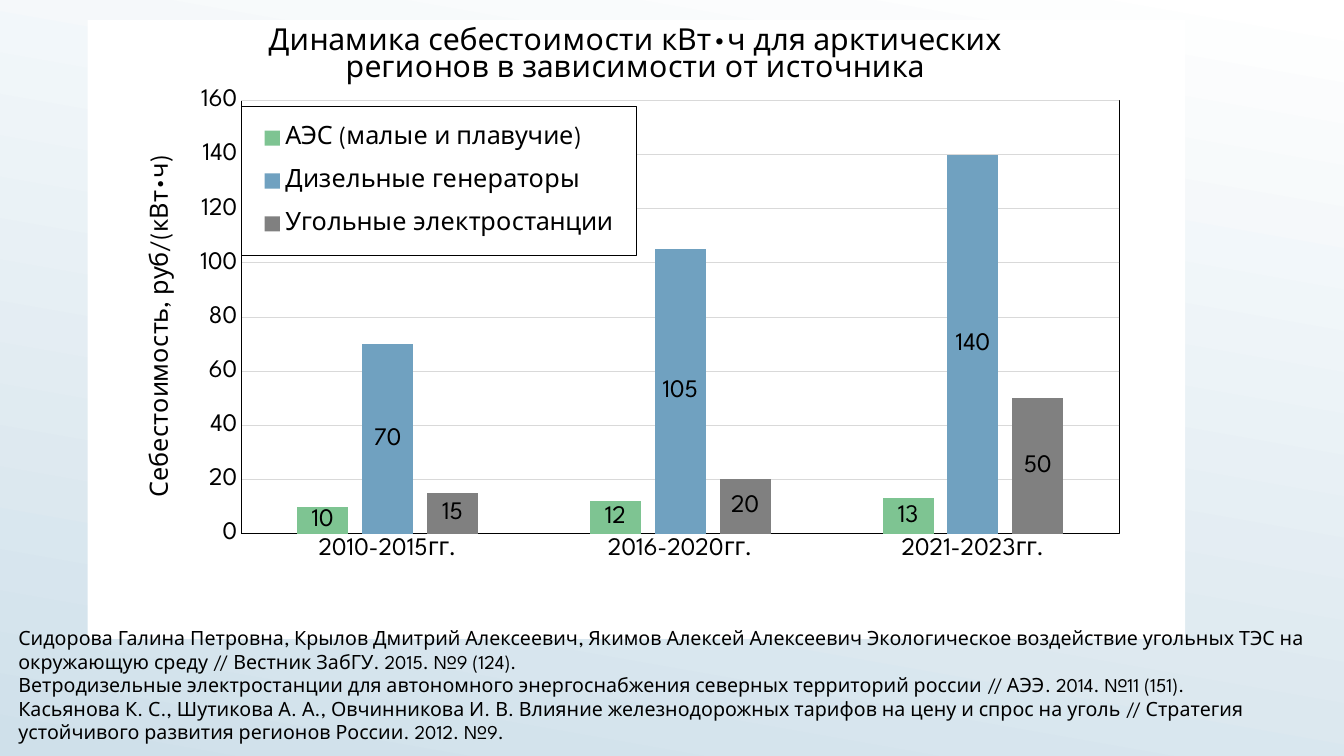
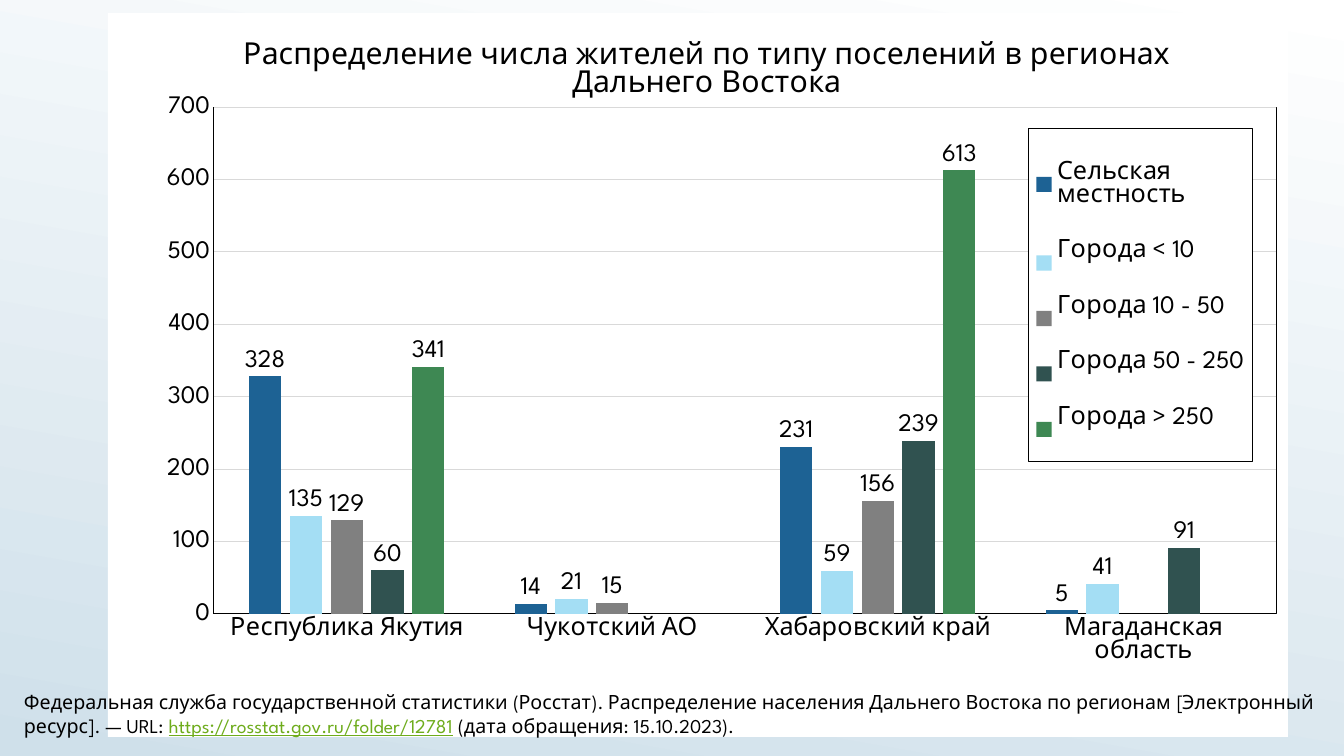
import pptx
import pptx.chart.data
import pptx.dml.color
import pptx.enum.chart
import pptx.enum.text
import pptx.oxml
import pptx.util

Pt = pptx.util.Pt
FONT = "League Spartan"
BLACK, WHITE, GRID, SKY, LINK = "000000", "FFFFFF", "D9D9D9", "CFE0EA", "6EAC1C"
CHART_SIZE, TITLE_SIZE, SOURCE_SIZE = 18, 21.6, 14
LINE_WIDTH = 0.75
NAMESPACES = (
    'xmlns:c="http://schemas.openxmlformats.org/drawingml/2006/chart" '
    'xmlns:a="http://schemas.openxmlformats.org/drawingml/2006/main"'
)
LABEL = pptx.enum.chart.XL_LABEL_POSITION

SLIDES = [
    {
        "title": "Динамика себестоимости кВт∙ч для арктических регионов в зависимости от источника",
        "title_at": (0.16, 0),
        "axis_title": "Себестоимость, руб/(кВт∙ч)",
        "axis_title_at": (0.05, 0.21),
        "frame": (62.6, 14.4, 784, 442),
        "plot_at": (0.14, 0.13, 0.8, 0.7),
        "legend_at": (0.14, 0.14, 0.36, 0.24),
        "scale": (160, 20),
        "label_position": LABEL.CENTER,
        "categories": ["2010-2015гг.", "2016-2020гг.", "2021-2023гг."],
        "series": [
            ("АЭС (малые и плавучие)", "7EC492", (10, 12, 13)),
            ("Дизельные генераторы", "70A1C0", (70, 105, 140)),
            ("Угольные электростанции", "808080", (15, 20, 50)),
        ],
        "source_frame": (6, 443.5, 954, 96),
        "sources": [
            [("Сидорова Галина Петровна, Крылов Дмитрий Алексеевич, Якимов Алексей Алексеевич "
              "Экологическое воздействие угольных ТЭС на окружающую среду // Вестник ЗабГУ. "
              "2015. №9 (124).", False)],
            [("Ветродизельные электростанции для автономного энергоснабжения северных территорий "
              "россии // АЭЭ. 2014. №11 (151).", False)],
            [("Касьянова К. С., Шутикова А. А., Овчинникова И. В. Влияние железнодорожных тарифов "
              "на цену и спрос на уголь // Стратегия устойчивого развития регионов России. "
              "2012. №9.", False)],
        ],
    },
    {
        "title": "Распределение числа жителей по типу поселений в регионах Дальнего Востока",
        "title_at": (0.11, 0.03),
        "axis_title": None,
        "frame": (77, 9.4, 843, 517),
        "plot_at": (0.09, 0.13, 0.9, 0.7),
        "legend_at": (0.78, 0.16, 0.19, 0.46),
        "scale": (700, 100),
        "label_position": LABEL.OUTSIDE_END,
        "categories": ["Республика Якутия", "Чукотский АО", "Хабаровский край", "Магаданская область"],
        "series": [
            ("Сельская местность", "1D6294", (328, 14, 231, 5)),
            ("Города < 10", "A4DEF4", (135, 21, 59, 41)),
            ("Города 10 - 50", "808080", (129, 15, 156, None)),
            ("Города 50 - 250", "305250", (60, None, 239, 91)),
            ("Города > 250", "3E8853", (341, None, 613, None)),
        ],
        "source_frame": (10, 489.6, 940, 41),
        "sources": [
            [("Федеральная служба государственной статистики (Росстат). Распределение населения "
              "Дальнего Востока по регионам [Электронный ресурс]. — URL: ", False),
             ("https://rosstat.gov.ru/folder/12781", True),
             (" (дата обращения: 15.10.2023).", False)],
        ],
    },
]


def color(value):
    return pptx.dml.color.RGBColor.from_string(value)


def style_font(font, size, value=BLACK):
    font.name = FONT
    font.size = Pt(size)
    font.bold = False
    font.color.rgb = color(value)


def style_line(line, value):
    line.width = Pt(LINE_WIDTH)
    line.color.rgb = color(value)


def layout_element(place, inner=False):
    target = '<c:layoutTarget val="inner"/>' if inner else ""
    keys = ("x", "y", "w", "h")[:len(place)]
    modes = "".join(f'<c:{key}Mode val="edge"/>' for key in keys[:2])
    values = "".join(f'<c:{key} val="{value}"/>' for key, value in zip(keys, place))
    return pptx.oxml.parse_xml(
        f"<c:layout {NAMESPACES}><c:manualLayout>{target}{modes}{values}</c:manualLayout></c:layout>"
    )


def area_element(fill, border):
    paint = '<a:solidFill><a:srgbClr val="{}"/></a:solidFill>'
    outline = paint.format(border) if border else "<a:noFill/>"
    return pptx.oxml.parse_xml(
        f"<c:spPr {NAMESPACES}>{paint.format(fill)}"
        f'<a:ln w="{Pt(LINE_WIDTH)}">{outline}</a:ln></c:spPr>'
    )


def place_before_overlay(element, place):
    for layout in element.xpath("c:layout"):
        element.remove(layout)
    overlay = element.xpath("c:overlay")[0]
    overlay.addprevious(layout_element(place))
    return overlay


def style_title(title, text, size, place):
    title.text_frame.text = text
    style_font(title.text_frame.paragraphs[0].runs[0].font, size)
    place_before_overlay(title._element, place)


def style_axes(chart, content):
    value_axis = chart.value_axis
    value_axis.minimum_scale = 0
    value_axis.maximum_scale, value_axis.major_unit = content["scale"]
    value_axis.has_major_gridlines = True
    style_line(value_axis.major_gridlines.format.line, GRID)
    for axis in (chart.category_axis, value_axis):
        axis.major_tick_mark = pptx.enum.chart.XL_TICK_MARK.NONE
        axis.minor_tick_mark = pptx.enum.chart.XL_TICK_MARK.NONE
        style_line(axis.format.line, BLACK)
        style_font(axis.tick_labels.font, CHART_SIZE)
    if content["axis_title"]:
        style_title(value_axis.axis_title, content["axis_title"], CHART_SIZE, content["axis_title_at"])


def style_legend(chart, place):
    chart.has_legend = True
    legend = chart.legend
    legend.position = pptx.enum.chart.XL_LEGEND_POSITION.RIGHT
    legend.include_in_layout = False
    style_font(legend.font, CHART_SIZE)
    overlay = place_before_overlay(legend._element, place)
    overlay.addnext(area_element(WHITE, BLACK))


def style_areas(chart, place):
    chart_element = chart._chartSpace.xpath("c:chart")[0]
    chart_element.addnext(area_element(WHITE, None))
    plot_area = chart_element.xpath("c:plotArea")[0]
    for layout in plot_area.xpath("c:layout"):
        plot_area.remove(layout)
    plot_area.insert(0, layout_element(place, inner=True))
    plot_area.append(area_element(WHITE, BLACK))


def add_column_chart(slide, content):
    data = pptx.chart.data.CategoryChartData()
    data.categories = content["categories"]
    for name, _, values in content["series"]:
        data.add_series(name, values)
    chart = slide.shapes.add_chart(
        pptx.enum.chart.XL_CHART_TYPE.COLUMN_CLUSTERED, *map(Pt, content["frame"]), data
    ).chart
    style_font(chart.font, CHART_SIZE)
    chart.has_title = True
    style_title(chart.chart_title, content["title"], TITLE_SIZE, content["title_at"])

    plot = chart.plots[0]
    plot.vary_by_categories = False
    plot.gap_width = 219
    plot.overlap = -27
    plot.has_data_labels = True
    plot.data_labels.show_value = True
    plot.data_labels.position = content["label_position"]
    style_font(plot.data_labels.font, CHART_SIZE)
    for series, (_, fill, _) in zip(plot.series, content["series"]):
        series.format.fill.solid()
        series.format.fill.fore_color.rgb = color(fill)

    style_axes(chart, content)
    style_legend(chart, content["legend_at"])
    style_areas(chart, content["plot_at"])


def add_sources(slide, content):
    frame = slide.shapes.add_textbox(*map(Pt, content["source_frame"])).text_frame
    frame.word_wrap = True
    frame.auto_size = pptx.enum.text.MSO_AUTO_SIZE.SHAPE_TO_FIT_TEXT
    for index, parts in enumerate(content["sources"]):
        paragraph = frame.add_paragraph() if index else frame.paragraphs[0]
        for text, is_address in parts:
            run = paragraph.add_run()
            run.text = text
            style_font(run.font, SOURCE_SIZE, LINK if is_address else BLACK)
            run.font.underline = is_address


def set_background(master):
    fill = master.background.fill
    fill.gradient()
    fill.gradient_angle = 260
    for stop, position, value in zip(fill.gradient_stops, (0, 1), (WHITE, SKY)):
        stop.position = position
        stop.color.rgb = color(value)


def main():
    presentation = pptx.Presentation()
    presentation.slide_width = Pt(960)
    presentation.slide_height = Pt(540)
    set_background(presentation.slide_master)
    for content in SLIDES:
        slide = presentation.slides.add_slide(presentation.slide_layouts[6])
        add_column_chart(slide, content)
        add_sources(slide, content)
    presentation.save("out.pptx")


if __name__ == "__main__":
    main()
